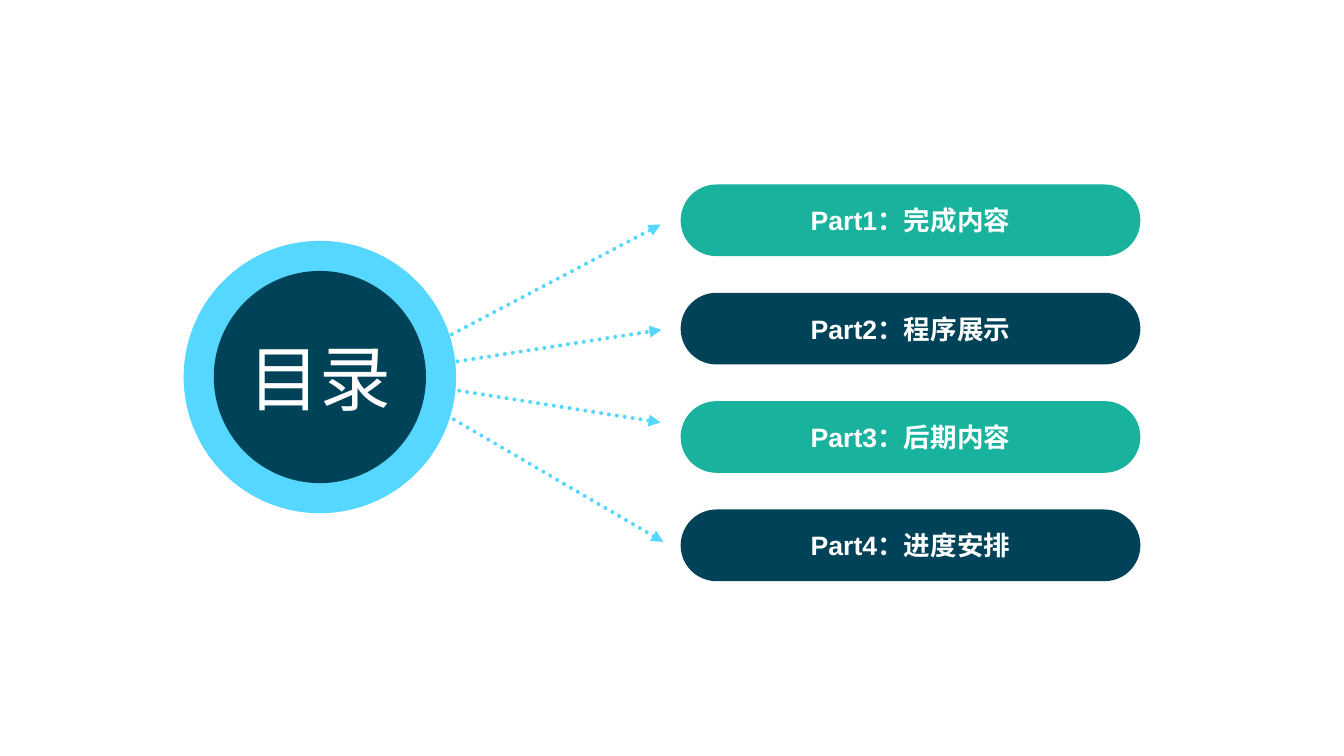
from dataclasses import dataclass

from lxml.etree import SubElement
from pptx import Presentation
from pptx.dml.color import RGBColor
from pptx.enum.dml import MSO_LINE
from pptx.enum.shapes import MSO_CONNECTOR, MSO_SHAPE
from pptx.enum.text import MSO_ANCHOR, PP_ALIGN
from pptx.oxml.ns import qn
from pptx.shapes.autoshape import Shape
from pptx.util import Inches, Pt

# Slide grid: 100 columns by 100 rows
WIDE, HIGH = Inches(14.06), Inches(7.91)
COLORS = {"sky": "56D7FF", "navy": "004358", "teal": "18B29D", "white": "FFFFFF"}
FONT = "Arial"

# Pills: column, first row, row step, width in columns, height in rows
PILL_X, PILL_Y, PILL_STEP, PILL_W, PILL_H = 50.64, 24.4, 14.33, 34.21, 9.48
HUB_X, HUB_Y = 23.8, 49.87


@dataclass(frozen=True)
class Part:
    title: str
    color: str
    start: tuple[float, float]
    end: tuple[float, float]


@dataclass(frozen=True)
class Disc:
    size: float  # diameter in columns
    color: str
    text: str = ""


PARTS = [
    Part("Part1：完成内容", "teal", (29.94, 47.66), (49.15, 29.71)),
    Part("Part2：程序展示", "navy", (29.94, 48.93), (49.22, 43.62)),
    Part("Part3：后期内容", "teal", (30.65, 50.7), (49.15, 55.88)),
    Part("Part4：进度安排", "navy", (31.72, 53.35), (49.36, 71.68)),
]
DISCS = [Disc(20.27, "sky"), Disc(15.79, "navy", "目录")]


def col(n: float) -> int:
    return round(WIDE * n / 100)


def row(n: float) -> int:
    return round(HIGH * n / 100)


def tint(name: str) -> RGBColor:
    return RGBColor.from_string(COLORS[name])


def paint(shape: Shape, color: str) -> None:
    shape.shadow.inherit = False
    shape.fill.solid()
    shape.fill.fore_color.rgb = tint(color)
    shape.line.fill.background()


def label(shape: Shape, text: str, size: int, bold: bool) -> None:
    frame = shape.text_frame
    frame.text = text
    frame.word_wrap = True
    frame.vertical_anchor = MSO_ANCHOR.MIDDLE
    frame.margin_left = frame.margin_right = 0
    frame.margin_top = frame.margin_bottom = 0
    line = frame.paragraphs[0]
    line.alignment = PP_ALIGN.CENTER
    font = line.runs[0].font
    font.name, font.size, font.bold = FONT, Pt(size), bold
    font.color.rgb = tint("white")


def arrow(shapes, part: Part) -> None:
    (x1, y1), (x2, y2) = part.start, part.end
    link = shapes.add_connector(
        MSO_CONNECTOR.STRAIGHT, col(x1), row(y1), col(x2), row(y2)
    )
    link.line.color.rgb = tint("sky")
    link.line.width = Pt(3)
    link.line.dash_style = MSO_LINE.ROUND_DOT
    props = link._element.spPr
    stroke = props.find(qn("a:ln"))
    stroke.set("cap", "rnd")
    SubElement(stroke, qn("a:tailEnd"), type="triangle")
    SubElement(props, qn("a:effectLst"))


def pill(shapes, part: Part, rank: int) -> None:
    top = PILL_Y + rank * PILL_STEP
    shape = shapes.add_shape(
        MSO_SHAPE.ROUNDED_RECTANGLE, col(PILL_X), row(top), col(PILL_W), row(PILL_H)
    )
    shape.adjustments[0] = 0.5
    paint(shape, part.color)
    label(shape, part.title, 20, True)


def disc(shapes, item: Disc) -> None:
    size = col(item.size)
    left, top = col(HUB_X) - size // 2, row(HUB_Y) - size // 2
    shape = shapes.add_shape(MSO_SHAPE.OVAL, left, top, size, size)
    paint(shape, item.color)
    if item.text:
        label(shape, item.text, 54, False)


def main() -> None:
    deck = Presentation()
    deck.slide_width, deck.slide_height = WIDE, HIGH
    shapes = deck.slides.add_slide(deck.slide_layouts[6]).shapes

    # Arrows and pills, one pair for each part
    for rank, part in enumerate(PARTS):
        arrow(shapes, part)
        pill(shapes, part, rank)

    # Hub over the arrow starts
    for item in DISCS:
        disc(shapes, item)

    deck.save("out.pptx")


if __name__ == "__main__":
    main()
